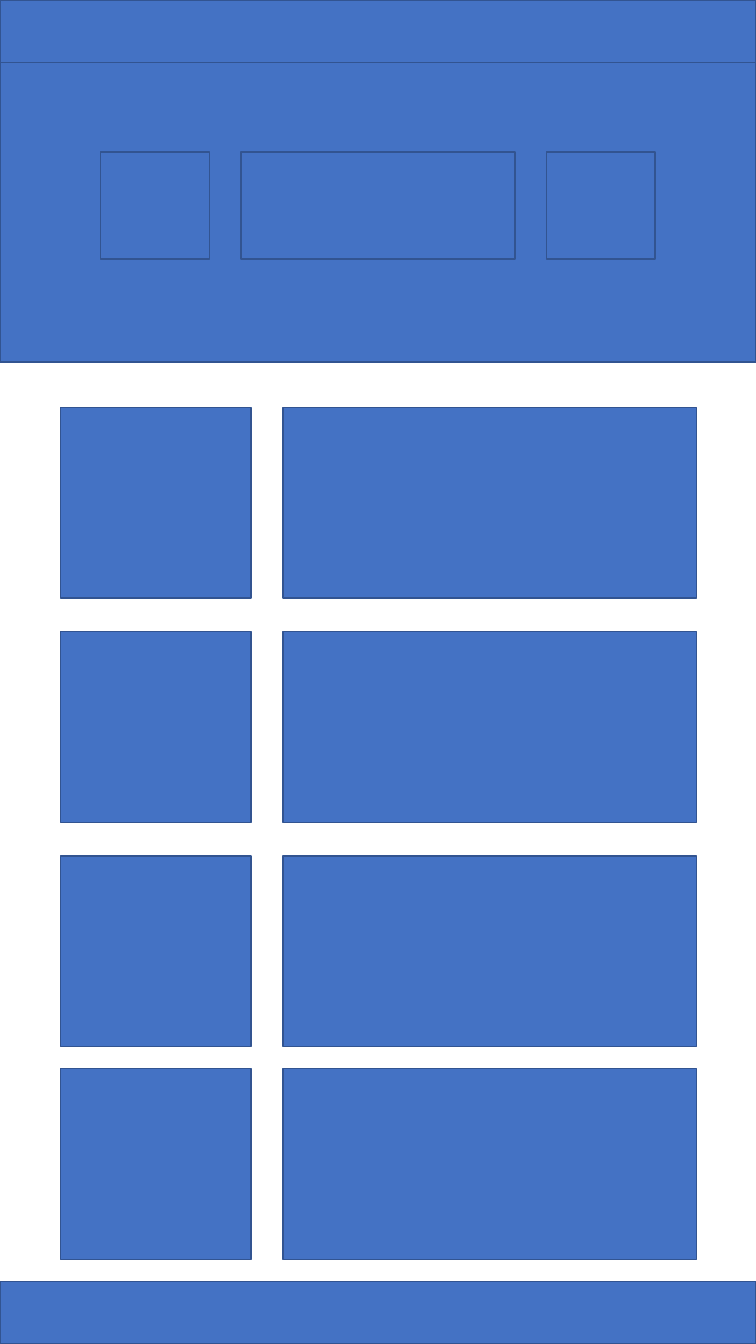
from pptx import Presentation
from pptx.dml.color import RGBColor
from pptx.enum.shapes import MSO_SHAPE as SHAPE
from pptx.util import Inches, Pt

BLUE = RGBColor(0x44, 0x72, 0xC4)
DARK_BLUE = RGBColor(0x32, 0x54, 0x91)

WIDTH, HEIGHT = 7.5, 13.33
BAR_H = 0.62
HERO_H = 2.97
HERO_TOP, HERO_BOX_H = 1.51, 1.06
HERO_COLUMNS = [(1, 1.08), (5.42, 1.08), (2.39, 2.72)]  # left, width
CARD_COLUMNS = [(0.6, 1.89), (2.81, 4.1)]  # left, width
CARD_TOP, CARD_PITCH, CARD_H = 4.04, 2.225, 1.89
LAST_CARD_TOP = 10.6  # the last row sits closer to the one above


def add_box(s, left, top, width, height):
    """Add a blue outlined rectangle, measured in inches."""
    sp = s.shapes.add_shape(SHAPE.RECTANGLE, Inches(left), Inches(top),
                            Inches(width), Inches(height))
    sp.shadow.inherit = False
    sp.fill.solid()
    sp.fill.fore_color.rgb = BLUE
    sp.line.color.rgb = DARK_BLUE
    sp.line.width = Pt(1)


def add_band(s, top, height):
    """Add a box across the full slide width."""
    add_box(s, 0, top, WIDTH, height)


def add_grid(s, columns, tops, height):
    """Add one box for each column and row, column by column."""
    for left, width in columns:
        for top in tops:
            add_box(s, left, top, width, height)


def main():
    """Build the page wireframe and save it."""
    prs = Presentation()
    prs.slide_width, prs.slide_height = Inches(WIDTH), Inches(HEIGHT)
    s = prs.slides.add_slide(prs.slide_layouts[6])

    add_band(s, 0, BAR_H)
    add_band(s, BAR_H, HERO_H)
    add_band(s, HEIGHT - BAR_H, BAR_H)
    add_grid(s, HERO_COLUMNS, [HERO_TOP], HERO_BOX_H)
    card_tops = [CARD_TOP + row * CARD_PITCH for row in range(3)]
    add_grid(s, CARD_COLUMNS, card_tops + [LAST_CARD_TOP], CARD_H)

    prs.save("out.pptx")


main()
